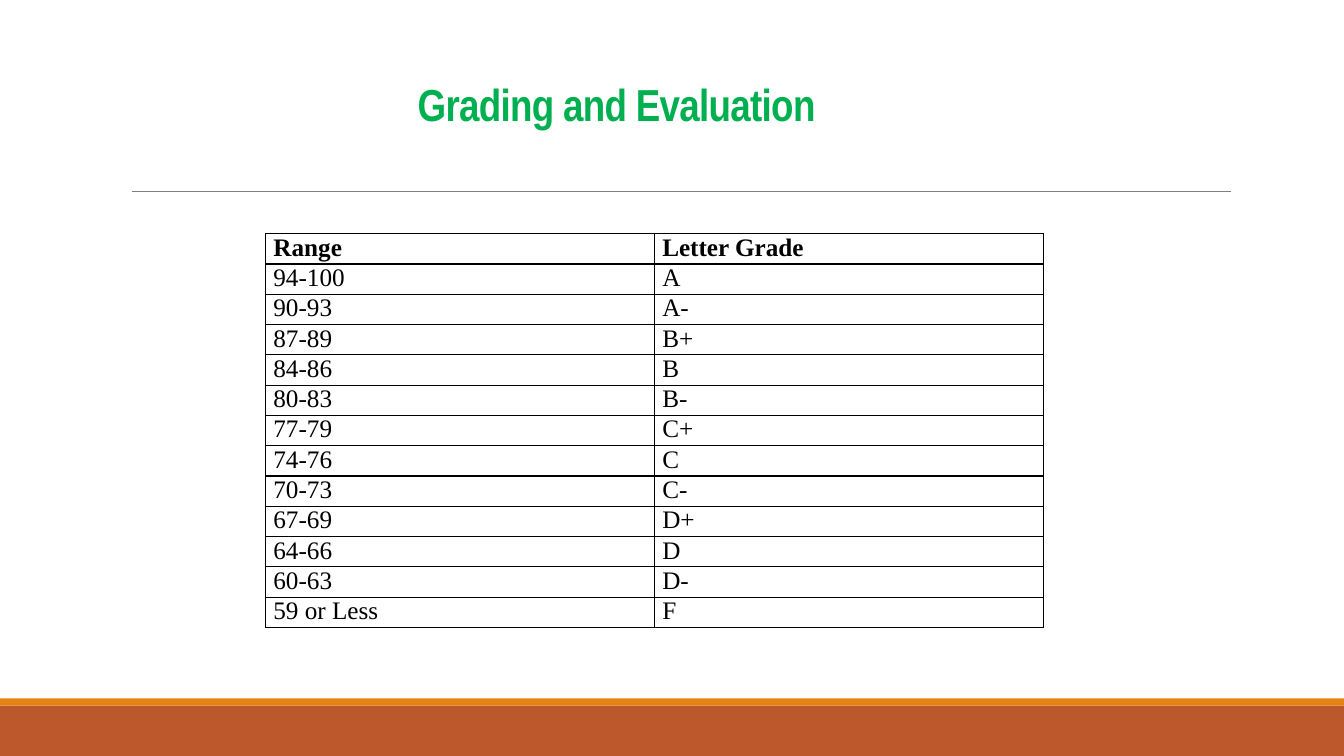
import pptx
import pptx.dml.color
import pptx.enum.shapes
import pptx.enum.text
import pptx.oxml.ns
import pptx.util
from dataclasses import dataclass
from lxml import etree

Cm = pptx.util.Cm
Pt = pptx.util.Pt
RGB = pptx.dml.color.RGBColor.from_string


@dataclass(frozen=True)
class Theme:
    band: str = "BD582C"
    stripe: str = "E48312"
    rule: str = "808080"
    title: str = "00B050"
    ink: str = "000000"
    title_font: str = "Arial Narrow"
    table_font: str = "Times New Roman"
    title_size: int = 32
    table_size: int = 18


theme = Theme()


def format_font(font, color, **values):
    for name, value in values.items():
        setattr(font, name, value)
    font.color.rgb = RGB(color)


def add_element(parent, tag, **attributes):
    return etree.SubElement(parent, pptx.oxml.ns.qn(tag), attributes)


presentation = pptx.Presentation()
presentation.slide_width = Cm(33.87)
presentation.slide_height = Cm(19.05)
slide = presentation.slides.add_slide(presentation.slide_layouts[6])

# Footer bands
for top, height, color in ((17.78, 1.27, theme.band), (17.6, 0.18, theme.stripe)):
    band = slide.shapes.add_shape(
        pptx.enum.shapes.MSO_SHAPE.RECTANGLE,
        Cm(0), Cm(top), presentation.slide_width, Cm(height))
    band.shadow.inherit = False
    band.fill.solid()
    band.fill.fore_color.rgb = RGB(color)
    band.line.fill.background()

# Rule under the title
rule = slide.shapes.add_connector(
    pptx.enum.shapes.MSO_CONNECTOR.STRAIGHT, Cm(3.32), Cm(4.82), Cm(31.01), Cm(4.82))
rule.line.color.rgb = RGB(theme.rule)
rule.line.width = Pt(0.5)
add_element(rule._element.spPr, "a:effectLst")

# Title
title = slide.shapes.add_textbox(Cm(1.12), Cm(1.4), Cm(29.08), Cm(2.01))
title.text_frame.word_wrap = True
title.text_frame.vertical_anchor = pptx.enum.text.MSO_ANCHOR.BOTTOM
paragraph = title.text_frame.paragraphs[0]
paragraph.alignment = pptx.enum.text.PP_ALIGN.CENTER
paragraph.line_spacing = 0.85
run = paragraph.add_run()
run.text = "Grading and Evaluation "
format_font(run.font, theme.title, name=theme.title_font,
            size=Pt(theme.title_size), bold=True)
run.font._element.set("spc", "-50")

# Grade table
grades = (
    ("Range", "Letter Grade"),
    ("94-100", "A"),
    ("90-93", "A-"),
    ("87-89", "B+"),
    ("84-86", "B"),
    ("80-83", "B-"),
    ("77-79", "C+"),
    ("74-76", "C"),
    ("70-73", "C-"),
    ("67-69", "D+"),
    ("64-66", "D"),
    ("60-63", "D-"),
    ("59 or Less", "F"),
)
table = slide.shapes.add_table(
    len(grades), 2, Cm(6.7), Cm(5.89), Cm(19.6), Cm(0.7 * len(grades))).table
table.first_row = False
table.horz_banding = False

cell_format = {
    "margin_left": Cm(0.19),
    "margin_right": Cm(0.19),
    "margin_top": Cm(0),
    "margin_bottom": Cm(0),
}
for row_index, grade in enumerate(grades):
    for column_index, text in enumerate(grade):
        cell = table.cell(row_index, column_index)
        for name, value in cell_format.items():
            setattr(cell, name, value)
        run = cell.text_frame.paragraphs[0].add_run()
        run.text = text
        format_font(run.font, theme.ink, name=theme.table_font,
                    size=Pt(theme.table_size), bold=row_index == 0)

        # Borders come before the fill in the cell properties
        properties = cell._tc.get_or_add_tcPr()
        for side in ("a:lnL", "a:lnR", "a:lnT", "a:lnB"):
            border = add_element(properties, side, w=str(Pt(1)))
            add_element(add_element(border, "a:solidFill"), "a:srgbClr", val=theme.ink)
        cell.fill.background()

presentation.save("out.pptx")
